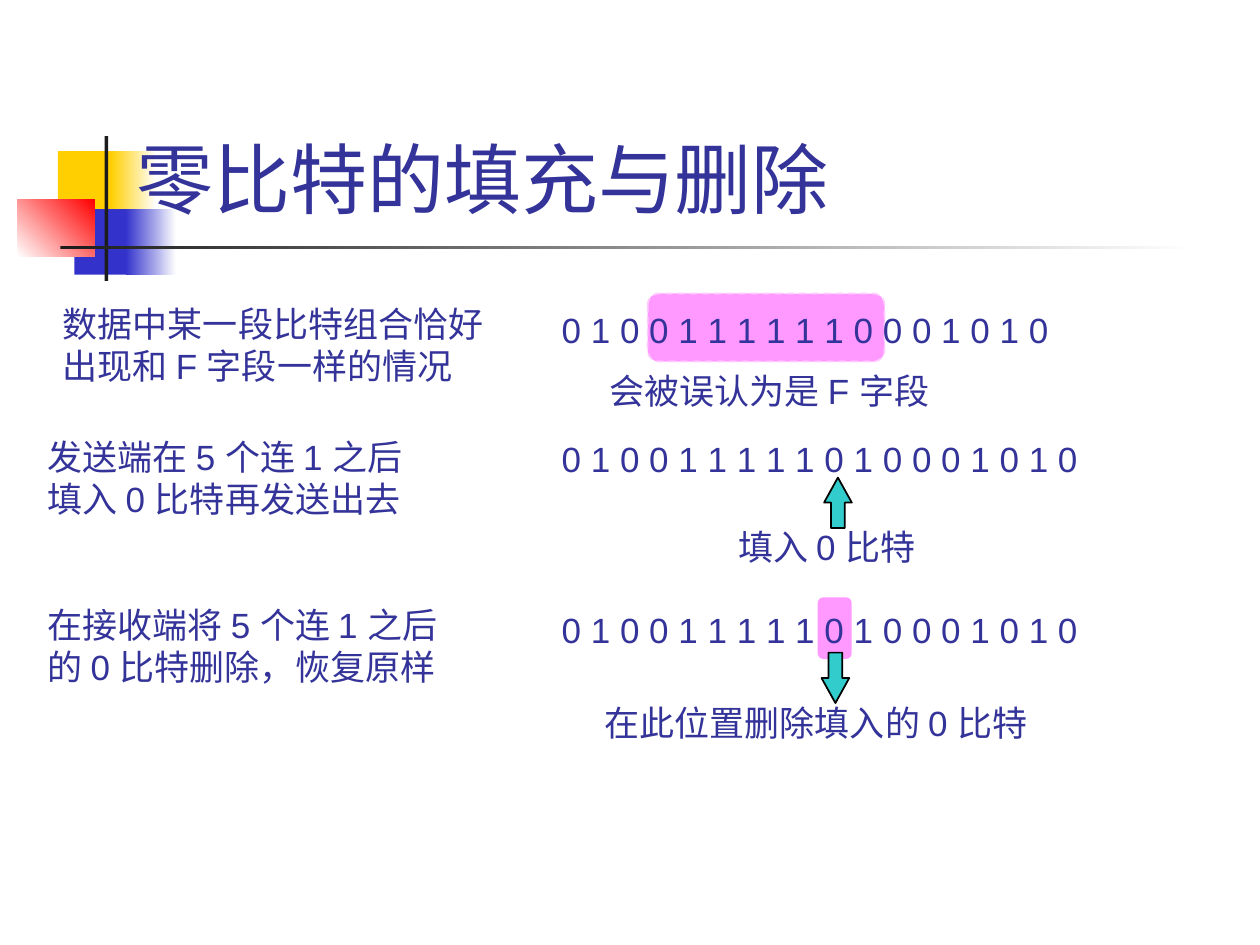
"""Build the slide on zero-bit stuffing and removal."""
from dataclasses import dataclass
from typing import Optional

import pptx
import pptx.dml.color
import pptx.enum.dml
import pptx.enum.shapes
import pptx.enum.text
import pptx.util
from pptx.util import Inches

INK = "333399"
PINK = "FF99FF"
SHAPES = pptx.enum.shapes.MSO_SHAPE


@dataclass
class Block:
    left: float
    top: float
    width: float
    height: float
    color: str
    end_color: Optional[str] = None
    angle: float = 0


@dataclass
class Label:
    left: float
    top: float
    width: float
    text: str


@dataclass
class Arrow:
    left: float
    top: float
    rotation: float


BLOCKS = [
    Block(0.46, 1.2, 0.48, 0.52, "FFCF01"),
    Block(0.88, 1.2, 0.36, 0.52, "FFCF01", "FFFFFF"),
    Block(0.59, 1.66, 0.46, 0.52, "3333CC"),
    Block(1, 1.66, 0.4, 0.52, "3333CC", "FFFFFF"),
    Block(0.14, 1.58, 0.61, 0.46, "FFFFFF", "FF0000", 45),
    Block(0.83, 1.08, 0.03, 1.15, "1C1C1C"),
    Block(0.48, 1.95, 9, 0.03, "1C1C1C", "FFFFFF"),
]
FLAG_HIGHLIGHT = Block(5.14, 2.33, 1.88, 0.54, PINK)
ZERO_HIGHLIGHT = Block(6.49, 4.74, 0.27, 0.49, PINK)
STUFFED_BITS = "0 1 0 0 1 1 1 1 1 0 1 0 0 0 1 0 1 0"
LABELS = [
    Label(0.4, 2.35, 3.54, "数据中某一段比特组合恰好\n出现和 F 字段一样的情况"),
    Label(4.36, 2.4, 4.07, "0 1 0 0 1 1 1 1 1 1 0 0 0 1 0 1 0"),
    Label(4.74, 2.88, 2.87, "会被误认为是 F 字段"),
    Label(0.28, 3.41, 3.28, "发送端在 5 个连 1 之后\n填入 0 比特再发送出去"),
    Label(5.76, 4.12, 1.74, "填入 0 比特"),
    Label(4.36, 3.42, 4.3, STUFFED_BITS),
    Label(0.28, 4.74, 3.56, "在接收端将 5 个连 1 之后\n的 0 比特删除，恢复原样"),
    Label(4.7, 5.52, 3.69, "在此位置删除填入的 0 比特"),
    Label(4.36, 4.78, 4.3, STUFFED_BITS),
]
ARROWS = [Arrow(6.45, 3.88, 270), Arrow(6.43, 5.27, 90)]


def rgb(value: str) -> pptx.dml.color.RGBColor:
    """Turn a hex string into a colour."""
    return pptx.dml.color.RGBColor.from_string(value)


def draw_block(page, block: Block, kind=SHAPES.RECTANGLE):
    """Draw an unlined shape with a solid or gradient fill."""
    shape = page.shapes.add_shape(
        kind, Inches(block.left), Inches(block.top), Inches(block.width), Inches(block.height)
    )
    shape.shadow.inherit = False
    shape.line.fill.background()
    if block.end_color:
        shape.fill.gradient()
        shape.fill.gradient_angle = block.angle
        for stop, color in zip(shape.fill.gradient_stops, (block.color, block.end_color)):
            stop.color.rgb = rgb(color)
    else:
        shape.fill.solid()
        shape.fill.fore_color.rgb = rgb(block.color)
    return shape


def outline(shape, color: str) -> None:
    """Give a shape a one-point line."""
    shape.line.color.rgb = rgb(color)
    shape.line.width = pptx.util.Pt(1)


def draw_arrow(page, arrow: Arrow) -> None:
    """Draw a rotated block arrow."""
    shape = draw_block(page, Block(arrow.left, arrow.top, 0.4, 0.22, "33CCCC"), SHAPES.RIGHT_ARROW)
    shape.adjustments[1] = 0.9
    shape.rotation = arrow.rotation
    outline(shape, "000000")


def format_text(frame, font_name: str, size: float) -> None:
    """Set the font of every run and align it left."""
    for para in frame.paragraphs:
        para.alignment = pptx.enum.text.PP_ALIGN.LEFT
        for span in para.runs:
            span.font.name = font_name
            span.font.size = pptx.util.Pt(size)
            span.font.color.rgb = rgb(INK)


def draw_label(page, label: Label) -> None:
    """Draw an unwrapped text box sized by its number of lines."""
    height = 0.43 + 0.33 * label.text.count("\n")
    box = page.shapes.add_textbox(
        Inches(label.left), Inches(label.top), Inches(label.width), Inches(height)
    )
    frame = box.text_frame
    frame.text = label.text
    frame.word_wrap = False
    frame.auto_size = pptx.enum.text.MSO_AUTO_SIZE.SHAPE_TO_FIT_TEXT
    format_text(frame, "Arial", 20)


def draw_title(page, text: str) -> None:
    """Place and format the title, in front of what is drawn so far."""
    title = page.shapes.title
    title.left, title.top = Inches(0.98), Inches(0.23)
    title.width, title.height = Inches(9.02), Inches(1.6)
    frame = title.text_frame
    frame.text = text
    frame.auto_size = pptx.enum.text.MSO_AUTO_SIZE.NONE
    frame.vertical_anchor = pptx.enum.text.MSO_ANCHOR.BOTTOM
    format_text(frame, "Roboto", 44)
    page.shapes._spTree.append(title._element)


def main() -> None:
    """Build and save the deck."""
    deck = pptx.Presentation()
    deck.slide_width, deck.slide_height = Inches(10), Inches(7.5)
    page = deck.slides.add_slide(deck.slide_layouts[5])
    for block in BLOCKS:
        draw_block(page, block)
    draw_title(page, "零比特的填充与删除")
    flag = draw_block(page, FLAG_HIGHLIGHT, SHAPES.ROUNDED_RECTANGLE)
    outline(flag, "FFCCFF")
    flag.line.dash_style = pptx.enum.dml.MSO_LINE.DASH
    draw_block(page, ZERO_HIGHLIGHT, SHAPES.ROUNDED_RECTANGLE)
    for arrow in ARROWS:
        draw_arrow(page, arrow)
    for label in LABELS:
        draw_label(page, label)
    deck.save("out.pptx")


if __name__ == "__main__":
    main()
